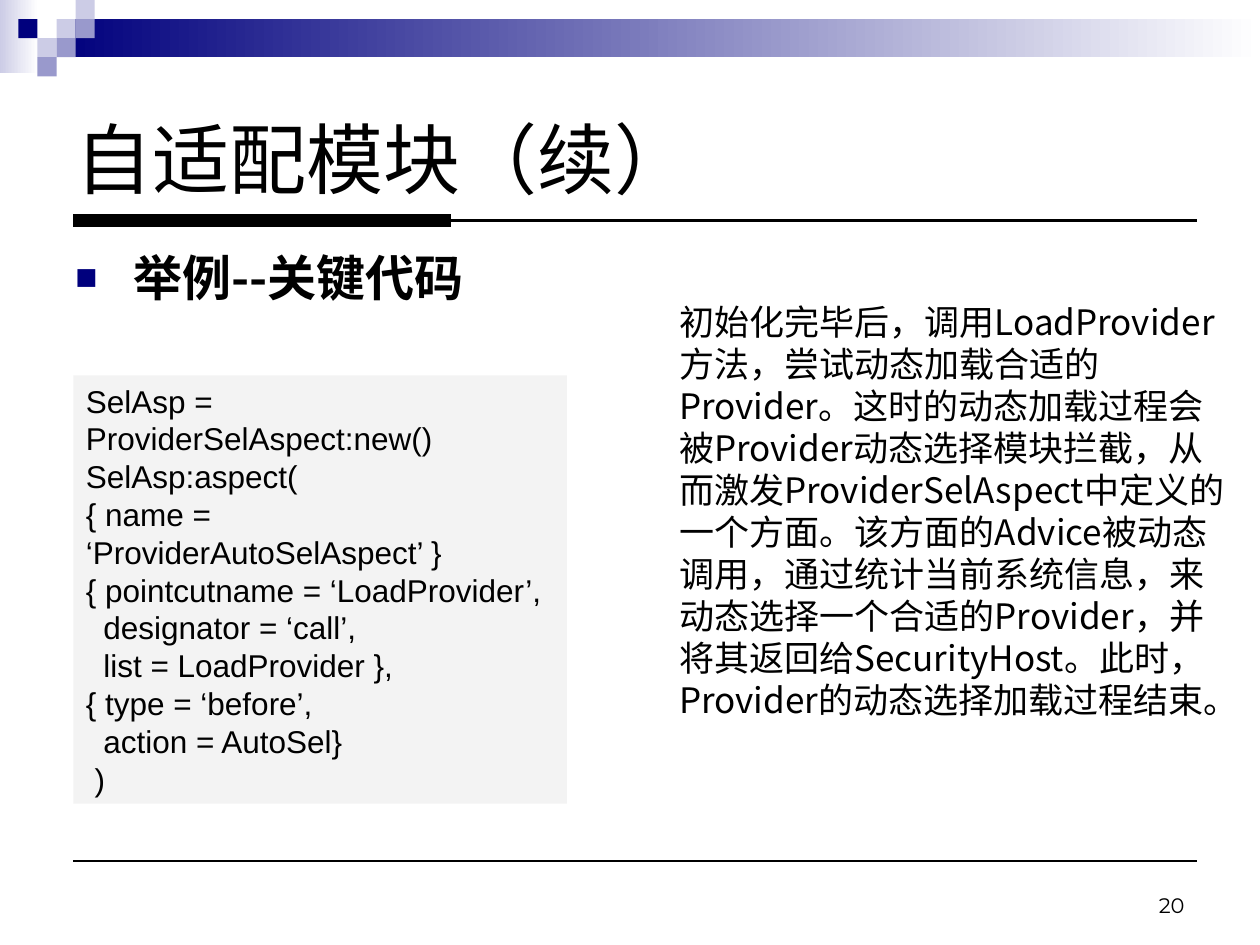
from dataclasses import dataclass, field

from lxml.etree import SubElement
from pptx import Presentation
from pptx.dml.color import RGBColor
from pptx.enum.shapes import MSO_CONNECTOR, MSO_SHAPE
from pptx.enum.text import MSO_ANCHOR, PP_ALIGN
from pptx.oxml.ns import qn
from pptx.util import Pt

COLORS = {
    "ink": "000000",
    "navy": "00007D",
    "lavender": "CCCCE6",
    "violet": "9999CC",
    "panel": "F3F3F3",
    "paper": "FFFFFF",
}
CJK_FONT = "Noto Sans CJK SC"
TILE = 10.9


@dataclass
class Block:
    left: float
    top: float
    width: float
    height: float
    color: str
    fades: bool = False


@dataclass
class Rule:
    top: float
    right: float
    weight: float


@dataclass
class Passage:
    left: float
    top: float
    width: float
    height: float
    lines: list[str]
    font: dict
    frame: dict = field(default_factory=dict)
    paragraph: dict = field(default_factory=dict)
    indent: float = 0
    bullet: str = ""
    background: str = ""


def rgb(name: str) -> RGBColor:
    return RGBColor.from_string(COLORS[name])


def apply_format(target, values: dict) -> None:
    for attribute, value in values.items():
        setattr(target, attribute, value)


def draw_block(slide, block: Block) -> None:
    shape = slide.shapes.add_shape(
        MSO_SHAPE.RECTANGLE, Pt(block.left), Pt(block.top), Pt(block.width), Pt(block.height)
    )
    shape.shadow.inherit = False
    shape.line.fill.background()
    if block.fades:
        shape.fill.gradient()
        shape.fill.gradient_angle = 0
        for stop, name in zip(shape.fill.gradient_stops, (block.color, "paper")):
            stop.color.rgb = rgb(name)
    else:
        shape.fill.solid()
        shape.fill.fore_color.rgb = rgb(block.color)


def draw_rule(slide, rule: Rule) -> None:
    connector = slide.shapes.add_connector(
        MSO_CONNECTOR.STRAIGHT, Pt(42), Pt(rule.top), Pt(rule.right), Pt(rule.top)
    )
    connector.line.width = Pt(rule.weight)
    connector.line.color.rgb = rgb("ink")
    SubElement(connector._element.spPr, qn("a:effectLst"))


def set_indent(paragraph, indent: float, bullet: str) -> None:
    properties = paragraph._p.get_or_add_pPr()
    properties.set("marL", str(Pt(indent)))
    properties.set("indent", str(-Pt(indent) if bullet else 0))
    if bullet:
        bullet_color = SubElement(properties, qn("a:buClr"))
        SubElement(bullet_color, qn("a:srgbClr"), val=COLORS["navy"])
        SubElement(properties, qn("a:buSzPct"), val="75000")
        SubElement(properties, qn("a:buFont"), typeface="Arial")
        SubElement(properties, qn("a:buChar"), char=bullet)


def draw_passage(slide, passage: Passage) -> None:
    box = slide.shapes.add_textbox(
        Pt(passage.left), Pt(passage.top), Pt(passage.width), Pt(passage.height)
    )
    if passage.background:
        box.fill.solid()
        box.fill.fore_color.rgb = rgb(passage.background)
    frame = box.text_frame
    apply_format(frame, {"word_wrap": True, **passage.frame})
    for index, line in enumerate(passage.lines):
        paragraph = frame.paragraphs[0] if index == 0 else frame.add_paragraph()
        set_indent(paragraph, passage.indent, passage.bullet)
        apply_format(paragraph, passage.paragraph)
        run = paragraph.add_run()
        run.text = line
        apply_format(run.font, passage.font)
        run.font.color.rgb = rgb("ink")
        SubElement(run._r.get_or_add_rPr(), qn("a:ea"), typeface=CJK_FONT)


BANDS = [
    Block(0, 0, 22, 41.8, "lavender", True),
    Block(32.6, 10.9, 687.4, 21.4, "navy", True),
]
MOSAIC = [
    (3, 1, "lavender"),
    (4, 0, "lavender"),
    (4, 1, "violet"),
    (2, 2, "lavender"),
    (1, 1, "navy"),
    (3, 2, "violet"),
    (2, 3, "violet"),
]
TILES = [
    Block(column * TILE - 0.4, row * TILE, TILE, TILE, color) for column, row, color in MOSAIC
]
RULES = [Rule(126, 684, 1.5), Rule(492, 684, 1.5), Rule(126, 258, 8)]

CODE = [
    "SelAsp = ProviderSelAspect:new()",
    "SelAsp:aspect(",
    "{ name = ‘ProviderAutoSelAspect’ }",
    "{ pointcutname = ‘LoadProvider’,",
    "  designator = ‘call’,",
    "  list = LoadProvider },",
    "{ type = ‘before’,",
    "  action = AutoSel}",
    " )",
]
EXPLANATION = (
    "初始化完毕后，调用LoadProvider方法，尝试动态加载合适的Provider。"
    "这时的动态加载过程会被Provider动态选择模块拦截，从而激发ProviderSelAspect中定义的一个方面。"
    "该方面的Advice被动态调用，通过统计当前系统信息，来动态选择一个合适的Provider，"
    "并将其返回给SecurityHost。此时，Provider的动态选择加载过程结束。"
)
MIDDLE = {"vertical_anchor": MSO_ANCHOR.MIDDLE}
PASSAGES = [
    Passage(36, 36, 648, 108, ["自适配模块（续）"], {"size": Pt(44), "name": "Arial"}, MIDDLE),
    Passage(
        42, 214.5, 282, 244.8, CODE, {"size": Pt(18), "name": "Arial"}, MIDDLE,
        {"line_spacing": Pt(21.6)}, background="panel",
    ),
    Passage(
        36, 138, 666, 54, ["举例--关键代码"],
        {"size": Pt(28), "name": CJK_FONT, "bold": True}, indent=33, bullet="■",
    ),
    Passage(
        354, 168, 354, 282, [EXPLANATION], {"size": Pt(20), "name": CJK_FONT},
        paragraph={"line_spacing": Pt(24)}, indent=27,
    ),
    Passage(
        516, 492, 168, 36, ["20"], {"size": Pt(12), "name": "Montserrat"},
        {"vertical_anchor": MSO_ANCHOR.BOTTOM}, {"alignment": PP_ALIGN.RIGHT},
    ),
]


def main() -> None:
    presentation = Presentation()
    apply_format(presentation, {"slide_width": Pt(720), "slide_height": Pt(540)})
    slide = presentation.slides.add_slide(presentation.slide_layouts[6])
    for block in BANDS + TILES:
        draw_block(slide, block)
    for rule in RULES:
        draw_rule(slide, rule)
    for passage in PASSAGES:
        draw_passage(slide, passage)
    presentation.save("out.pptx")


if __name__ == "__main__":
    main()
